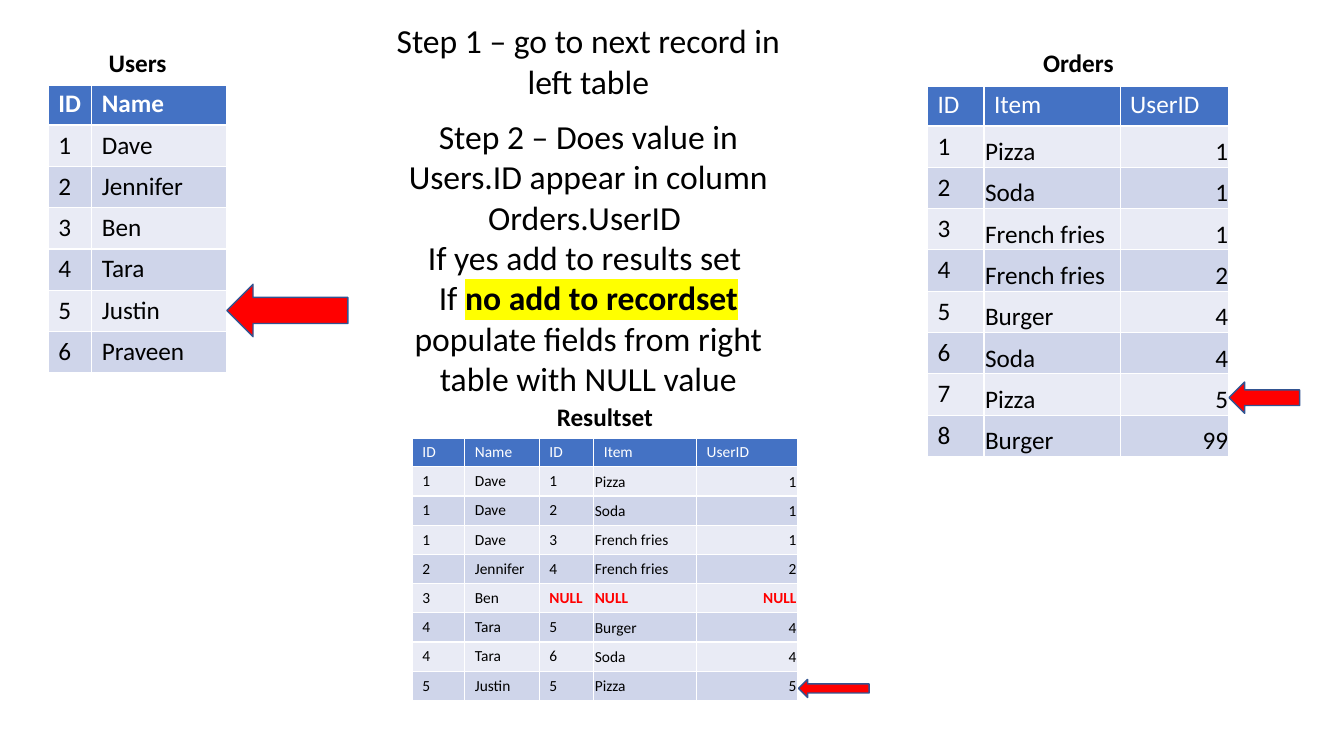
from lxml import etree
from pptx import Presentation, util as u
from pptx.dml.color import RGBColor
from pptx.enum import shapes, text
from pptx.oxml.ns import qn

WHITE, BLACK, RED, YELLOW = "FFFFFF", "000000", "FF0000", "FFFF00"
HEADER, BANDS, OUTLINE = "4472C4", ("E9EBF5", "CFD5EA"), "325491"
CENTER, RIGHT = text.PP_ALIGN.CENTER, text.PP_ALIGN.RIGHT


def set_font(font, size, color=BLACK, bold=False):
    values = {"name": "Calibri", "size": u.Pt(size), "bold": bold}
    for name, value in values.items():
        setattr(font, name, value)
    font.color.rgb = RGBColor.from_string(color)


def add_border(cell, side, points):
    """Give one side (L, R, T or B) of a cell a white line."""
    line = etree.SubElement(cell._tc.get_or_add_tcPr(), qn("a:ln" + side), w=str(u.Pt(points)))
    fill = etree.SubElement(line, qn("a:solidFill"))
    etree.SubElement(fill, qn("a:srgbClr"), val=WHITE)


presentation = Presentation()
presentation.slide_width, presentation.slide_height = u.Inches(13.33), u.Inches(7.5)
slide = presentation.slides.add_slide(presentation.slide_layouts[5])

# Tables: columns from "tight" on have almost no margins
users = [("1", "Dave"), ("2", "Jennifer"), ("3", "Ben"), ("4", "Tara"), ("5", "Justin"), ("6", "Praveen")]
orders = [("1", "Pizza", "1"), ("2", "Soda", "1"), ("3", "French fries", "1"), ("4", "French fries", "2"),
          ("5", "Burger", "4"), ("6", "Soda", "4"), ("7", "Pizza", "5"), ("8", "Burger", "99")]
results = [("1", "Dave", "1", "Pizza", "1"), ("1", "Dave", "2", "Soda", "1"),
           ("1", "Dave", "3", "French fries", "1"), ("2", "Jennifer", "4", "French fries", "2"),
           ("3", "Ben", "NULL", "NULL", "NULL"), ("4", "Tara", "5", "Burger", "4"),
           ("4", "Tara", "6", "Soda", "4"), ("5", "Justin", "5", "Pizza", "5")]
tables = [
    dict(title="Users", left=0.48, top=0.43, widths=(0.43, 1.34), title_height=0.34, row_height=0.41,
         names=("ID", "Name"), records=users, size=18, bold=True, tight=2, anchor=text.MSO_ANCHOR.TOP),
    dict(title="Orders", left=9.2, top=0.43, widths=(0.56, 1.35, 1.08), title_height=0.41, row_height=0.41,
         names=("ID", "Item", "UserID"), records=orders, size=18, bold=False, tight=1,
         anchor=text.MSO_ANCHOR.BOTTOM),
    dict(title="Resultset", left=4.09, top=3.94, widths=(0.52, 0.74, 0.54, 1.02, 1), title_height=0.34,
         row_height=0.29, names=("ID", "Name", "ID", "Item", "UserID"), records=results, size=11, bold=False,
         tight=3, anchor=text.MSO_ANCHOR.MIDDLE),
]
for spec_of in tables:
    widths, records = spec_of["widths"], spec_of["records"]
    rows = [(spec_of["title"],) + ("",) * (len(widths) - 1), spec_of["names"], *records]
    height = spec_of["title_height"] + spec_of["row_height"] * (len(rows) - 1)
    table = slide.shapes.add_table(
        len(rows), len(widths), u.Inches(spec_of["left"]), u.Inches(spec_of["top"]),
        u.Inches(sum(widths)), u.Inches(height)).table
    for column, width in zip(table.columns, widths):
        column.width = u.Inches(width)
    for r, values in enumerate(rows):
        table.rows[r].height = u.Inches(spec_of["row_height"] if r else spec_of["title_height"])
        for c, value in enumerate(values):
            cell = table.cell(r, c)
            for side in "LRTB":
                thick = (r, side) in ((0, "B"), (1, "T"))
                add_border(cell, side, 3 if thick else 1)
            cell.fill.solid()
            fill = (WHITE, HEADER)[r] if r < 2 else BANDS[r % 2]
            cell.fill.fore_color.rgb = RGBColor.from_string(fill)
            paragraph = cell.text_frame.paragraphs[0]
            if r >= 2 and c >= spec_of["tight"]:
                cell.margin_left = cell.margin_right = cell.margin_top = u.Inches(0.01)
                cell.margin_bottom = 0
                if c == len(widths) - 1:
                    paragraph.alignment = RIGHT
            if r >= 2 and (c >= spec_of["tight"] or spec_of["title"] == "Resultset"):
                cell.vertical_anchor = spec_of["anchor"]
            if r == 0:
                paragraph.alignment = CENTER
            size = spec_of["size"] if r else 18
            color = WHITE if r == 1 else RED if value == "NULL" else BLACK
            bold = r == 0 or value == "NULL" or (r == 1 and spec_of["bold"])
            if value:
                run = paragraph.add_run()
                run.text = value
                set_font(run.font, size, color, bold)
    table.cell(0, 0).merge(table.cell(0, len(widths) - 1))

# Steps: each paragraph is a list of (text, highlighted) runs
step_1 = [[("Step 1 – go to next record in left table", False)]]
step_2 = [
    [("Step 2 – Does value in Users.ID appear in column", False)],
    [("Orders.UserID ", False)],
    [("If yes add to results set ", False)],
    [("If ", False), ("no add to recordset", True), ("populate fields from right table with NULL value", False)],
]
title = slide.shapes.title
step_2_box = slide.shapes.add_textbox(0, 0, 0, 0)
for shape, top, height, step in ((title, 0.15, 0.91, step_1), (step_2_box, 1.1, 2.93, step_2)):
    shape.left, shape.top = u.Inches(3.75), u.Inches(top)
    shape.width, shape.height = u.Inches(4.17), u.Inches(height)
    frame = shape.text_frame
    frame.word_wrap = True
    frame.auto_size = text.MSO_AUTO_SIZE.SHAPE_TO_FIT_TEXT
    frame.vertical_anchor = text.MSO_ANCHOR.TOP
    for i, runs in enumerate(step):
        paragraph = frame.add_paragraph() if i else frame.paragraphs[0]
        paragraph.alignment = CENTER
        for words, highlighted in runs:
            run = paragraph.add_run()
            run.text = words
            set_font(run.font, 24, bold=highlighted)
            if highlighted:
                highlight = etree.Element(qn("a:highlight"))
                etree.SubElement(highlight, qn("a:srgbClr"), val=YELLOW)
                run.font._element.find(qn("a:solidFill")).addnext(highlight)
                paragraph.add_line_break()

# Arrows at the current records
for left, top, width, height in ((2.25, 2.82, 1.2, 0.52), (12.19, 3.79, 0.7, 0.31), (7.92, 6.74, 0.7, 0.18)):
    arrow = slide.shapes.add_shape(
        shapes.MSO_SHAPE.LEFT_ARROW, u.Inches(left), u.Inches(top), u.Inches(width), u.Inches(height))
    arrow.shadow.inherit = False
    arrow.fill.solid()
    arrow.fill.fore_color.rgb = RGBColor.from_string(RED)
    arrow.line.color.rgb = RGBColor.from_string(OUTLINE)
    arrow.line.width = u.Pt(1)

presentation.save("out.pptx")
